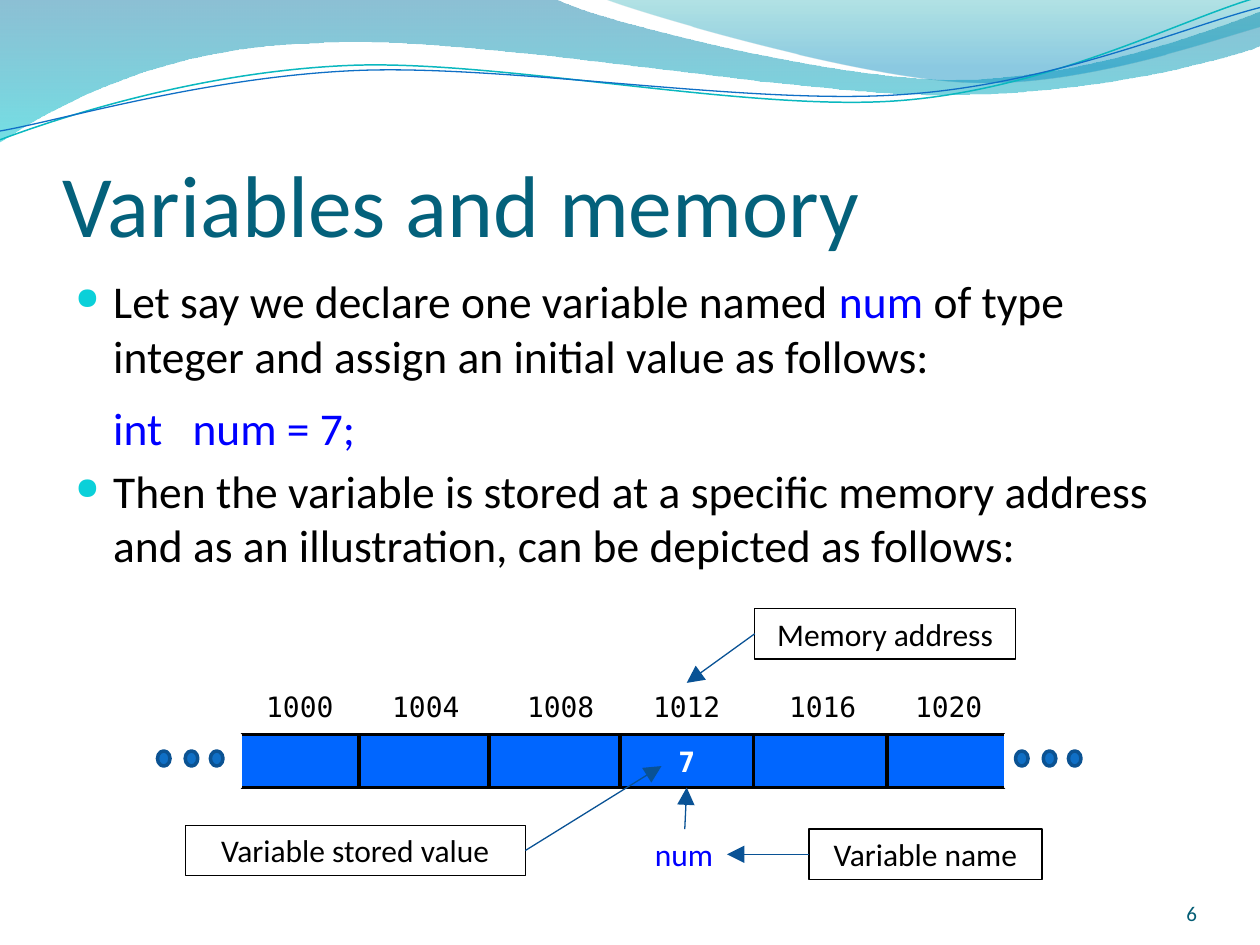
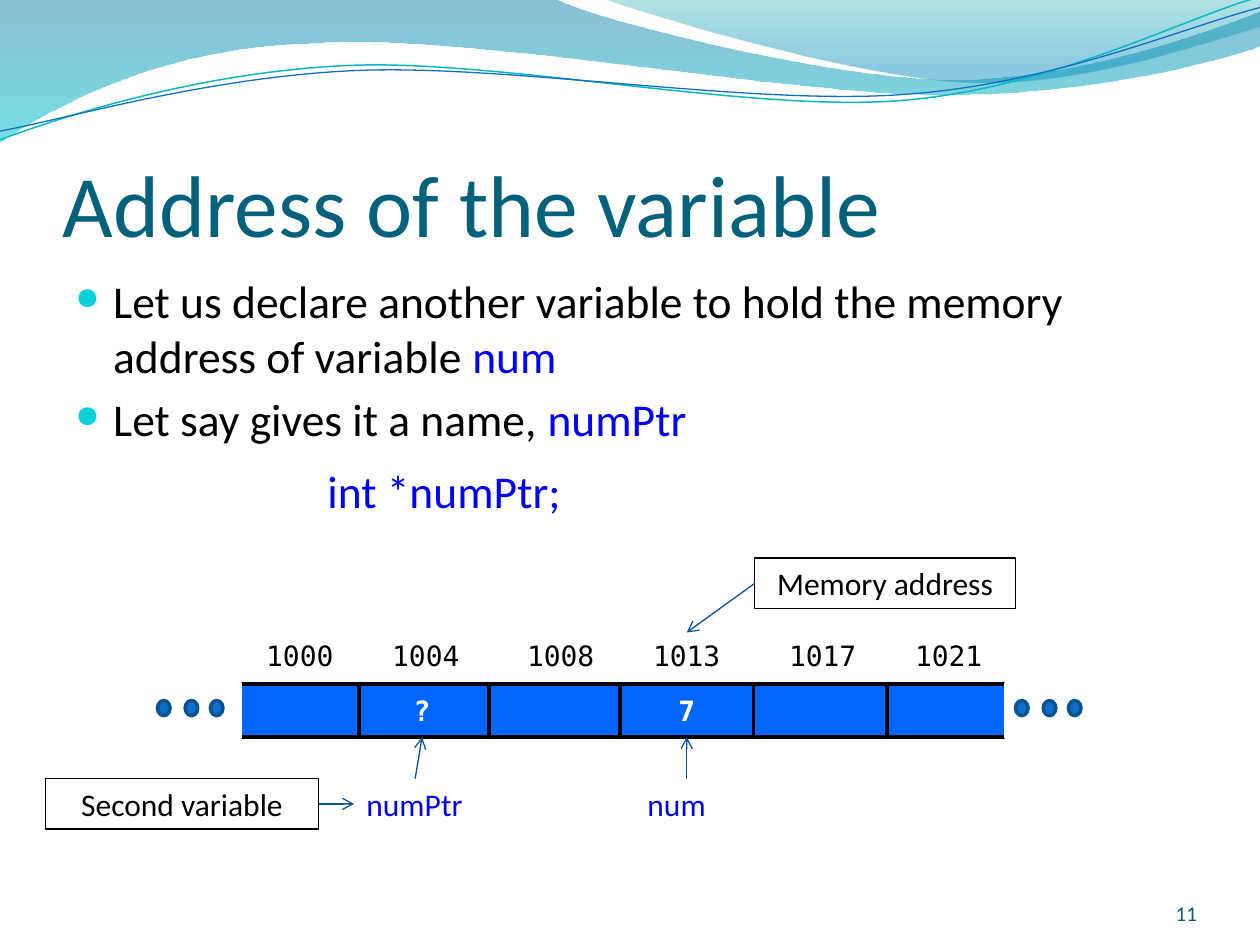
from dataclasses import dataclass

from lxml.etree import SubElement
from pptx import Presentation
from pptx.dml.color import RGBColor
from pptx.enum.shapes import MSO_CONNECTOR, MSO_SHAPE
from pptx.enum.text import MSO_ANCHOR, PP_ALIGN
from pptx.oxml.ns import qn
from pptx.util import Inches, Pt


@dataclass(frozen=True)
class Theme:
    font: str = "Calibri"
    mono: str = "DejaVu Sans Mono"
    title: str = "04617B"
    number: str = "045D75"
    text: str = "000000"
    code: str = "0000FF"
    bullet: str = "0BD0D9"
    cell: str = "0066FF"
    white: str = "FFFFFF"
    dot: str = "0F6FC6"
    dot_line: str = "0B5292"
    arrow: str = "095295"
    title_size: float = 50
    body_size: float = 26
    label_size: float = 18
    mono_size: float = 16
    number_size: float = 12
    bullet_gap: float = 5
    code_gap: float = 9.8


THEME = Theme()
TOP, LEFT, BOTTOM, RIGHT = range(4)
CELL_LEFTS = (1.79, 2.82, 3.86, 4.92, 5.98, 7.04)
ADDRESS_LEFTS = (1.93, 2.93, 4, 5, 6.08, 7.08)
DOT_LEFTS = (1.25, 1.47, 1.67, 8.06, 8.28, 8.48)

WAVES = (
    ((0, 0), [
        (4.4, -0.01),
        (4.76, 0.17, 6.64, 0.63, 7.58, 0.63),
        (8.53, 0.63, 9.58, 0.26, 10, 0.09),
        (10.01, 0.36),
        (9.83, 0.44, 8.7, 0.76, 7.46, 0.75),
        (6.22, 0.75, 3.82, 0.28, 2.57, 0.34),
        (1.29, 0.36, 0.46, 0.83, -0.01, 1.13),
    ], ((0, "0074A1", 45), (1, "00C6CF", 55))),
    ((4.79, -0.01), [
        (5.09, 0.11, 6.82, 0.62, 7.69, 0.65),
        (8.56, 0.69, 9.61, 0.32, 10, 0.21),
        (10, 0),
    ], ((0, "00A1A9", 30), (0.8, "008BBF", 45))),
)
CURVES = (
    ((0, 1.11), [
        (0.48, 0.93, 1.58, 0.57, 2.77, 0.52),
        (3.95, 0.47, 5.93, 0.89, 7.13, 0.8),
        (8.33, 0.71, 9.38, 0.15, 9.98, -0.02),
    ], "0AB8BF", 0.85),
    ((0, 1.04), [
        (0.47, 0.96, 1.64, 0.61, 2.83, 0.56),
        (4.03, 0.51, 5.97, 0.84, 7.17, 0.75),
        (8.36, 0.67, 9.41, 0.21, 10, 0.06),
    ], "0F6FC6", 0.75),
)


def color(value):
    return RGBColor.from_string(value)


def bend(outline, segments):
    lines = list(outline._element.iter(qn("a:lnTo")))
    for line, segment in zip(lines, segments):
        if len(segment) == 2:
            continue
        line.tag = qn("a:cubicBezTo")
        line.remove(line[0])
        for x, y in zip(segment[::2], segment[1::2]):
            SubElement(line, qn("a:pt"), x=str(Inches(x) - outline.left),
                       y=str(Inches(y) - outline.top))


def add_outline(page, start, segments, close):
    builder = page.shapes.build_freeform(*map(Inches, start), scale=1.0)
    corners = [tuple(map(Inches, segment[-2:])) for segment in segments]
    builder.add_line_segments(corners, close=close)
    outline = builder.convert_to_shape()
    outline.shadow.inherit = False
    bend(outline, segments)
    return outline


def add_wave(page, start, segments, stops):
    wave = add_outline(page, start, segments, True)
    wave.line.fill.background()
    wave.fill.gradient()
    wave.fill.gradient_angle = 270
    for stop, (position, value, _) in zip(wave.fill.gradient_stops, stops):
        stop.position = position
        stop.color.rgb = color(value)
    for node, (_, _, opacity) in zip(wave._element.iter(qn("a:gs")), stops):
        SubElement(node[0], qn("a:alpha"), val=str(opacity * 1000))


def add_curve(page, start, segments, line, width):
    curve = add_outline(page, start, segments, False)
    curve.fill.background()
    curve.line.color.rgb = color(line)
    curve.line.width = Pt(width)


def write(para, *spans, size, ink=THEME.text, font=THEME.font, bold=False,
          align=PP_ALIGN.LEFT):
    para.alignment = align
    for span in spans:
        words, span_ink = span if isinstance(span, tuple) else (span, ink)
        run = para.add_run()
        run.text = words
        run.font.name = font
        run.font.size = Pt(size)
        run.font.bold = bold
        run.font.color.rgb = color(span_ink)


def add_text(page, place, words=None, anchor=MSO_ANCHOR.TOP, inset=None, **style):
    box = page.shapes.add_textbox(*map(Inches, place))
    frame = box.text_frame
    frame.word_wrap = True
    frame.vertical_anchor = anchor
    if inset:
        (frame.margin_left, frame.margin_top,
         frame.margin_right, frame.margin_bottom) = map(Inches, inset)
    if words:
        write(frame.paragraphs[0], words, **style)
    return box


def add_shape(page, kind, place, fill=None, line=THEME.text, width=2, words=None,
              anchor=MSO_ANCHOR.MIDDLE, **style):
    shape = page.shapes.add_shape(kind, *map(Inches, place))
    shape.shadow.inherit = False
    if fill:
        shape.fill.solid()
        shape.fill.fore_color.rgb = color(fill)
    else:
        shape.fill.background()
    shape.line.color.rgb = color(line)
    shape.line.width = Pt(width)
    if words:
        shape.text_frame.word_wrap = True
        shape.text_frame.vertical_anchor = anchor
        write(shape.text_frame.paragraphs[0], words, align=PP_ALIGN.CENTER, **style)
    return shape


def add_callout(page, left, top, width, words):
    return add_shape(page, MSO_SHAPE.RECTANGLE, (left, top, width, 0.4), width=0.75,
                     words=words, anchor=MSO_ANCHOR.TOP, size=THEME.label_size)


def add_name(page, left, top, width, words):
    return add_text(page, (left, top, width, 0.4), words, inset=(0.1, 0.05, 0, 0.05),
                    size=THEME.label_size, ink=THEME.code)


def add_arrow(page, source, side, head, target=None, target_side=None, point=(0, 0)):
    end = map(Inches, point)
    arrow = page.shapes.add_connector(MSO_CONNECTOR.STRAIGHT, 0, 0, *end)
    arrow.begin_connect(source, side)
    if target:
        arrow.end_connect(target, target_side)
    arrow.line.color.rgb = color(THEME.arrow)
    arrow.line.width = Pt(0.75)
    size = "lg" if head == "triangle" else "med"
    properties = arrow._element.spPr
    SubElement(properties.find(qn("a:ln")), qn("a:tailEnd"), type=head, w=size, len=size)
    SubElement(properties, qn("a:effectLst"))


def set_indent(para, margin, hanging=0, bullet=False):
    properties = para._p.get_or_add_pPr()
    properties.set("marL", str(Inches(margin)))
    properties.set("indent", str(-Inches(hanging)))
    if bullet:
        tint = SubElement(properties, qn("a:buClr"))
        SubElement(tint, qn("a:srgbClr"), val=THEME.bullet)
        SubElement(properties, qn("a:buSzPct"), val="67000")
        SubElement(properties, qn("a:buChar"), char="●")


def add_body(page, items):
    frame = add_text(page, (0.5, 2.12, 9, 4.8)).text_frame
    for index, (spans, indent, gap) in enumerate(items):
        para = frame.add_paragraph() if index else frame.paragraphs[0]
        set_indent(para, **indent)
        if index:
            para.space_before = Pt(gap)
        write(para, *spans, size=THEME.body_size)


def bullet(*spans):
    return spans, dict(margin=0.3, hanging=0.3, bullet=True), THEME.bullet_gap


def code_line(words, margin, hanging=0):
    return [code(words)], dict(margin=margin, hanging=hanging), THEME.code_gap


def code(words):
    return words, THEME.code


def add_memory(page, top, addresses, values):
    cells = {}
    for index, left in reversed(list(enumerate(CELL_LEFTS))):
        cells[index] = add_shape(
            page, MSO_SHAPE.RECTANGLE, (left, top, 1.06, 0.42), THEME.cell,
            words=values.get(index), size=THEME.mono_size, font=THEME.mono,
            ink=THEME.white, bold=True)
    for left in (1.67, 7.98):
        add_shape(page, MSO_SHAPE.RECTANGLE, (left, top, 0.24, 0.42),
                  THEME.white, THEME.white)
    for left in DOT_LEFTS:
        add_shape(page, MSO_SHAPE.OVAL, (left, top + 0.13, 0.1, 0.12),
                  THEME.dot, THEME.dot_line)
    labels = [
        add_text(page, (left, top - 0.41, 0.9, 0.37), str(address),
                 size=THEME.mono_size, font=THEME.mono, align=PP_ALIGN.CENTER)
        for left, address in zip(ADDRESS_LEFTS, addresses)
    ]
    return cells, labels


def add_page(deck, title, number):
    page = deck.slides.add_slide(deck.slide_layouts[6])
    for wave in WAVES:
        add_wave(page, *wave)
    for curve in CURVES:
        add_curve(page, *curve)
    add_text(page, (0.5, 0.77, 9, 1.25), title, MSO_ANCHOR.BOTTOM, (0, 0.05, 0, 0),
             size=THEME.title_size, ink=THEME.title)
    add_text(page, (8.67, 6.95, 0.83, 0.4), str(number), MSO_ANCHOR.BOTTOM, (0, 0, 0, 0),
             size=THEME.number_size, ink=THEME.number, align=PP_ALIGN.RIGHT)
    return page


def add_variables_page(deck):
    page = add_page(deck, "Variables and memory", 6)
    add_body(page, [
        bullet("Let say we declare one variable named ", code("num"),
               " of type integer and assign an initial value as follows:"),
        code_line("int\tnum = 7;", 0.93, 0.63),
        bullet("Then the variable is stored at a specific memory address and as an "
               "illustration, can be depicted as follows:"),
    ])
    cells, labels = add_memory(page, 5.83, (1000, 1004, 1008, 1012, 1016, 1020), {3: "7"})
    address = add_callout(page, 5.99, 4.83, 2.07, "Memory address")
    stored = add_callout(page, 1.47, 6.55, 2.7, "Variable stored value")
    named = add_callout(page, 6.42, 6.58, 1.85, "Variable name")
    num = add_name(page, 5.1, 6.58, 0.67, "num")
    add_arrow(page, address, LEFT, "triangle", labels[3], TOP)
    add_arrow(page, stored, RIGHT, "triangle", point=(5.25, 6.08))
    add_arrow(page, named, LEFT, "triangle", num, RIGHT)
    add_arrow(page, num, TOP, "triangle", cells[3], BOTTOM)


def add_address_page(deck):
    page = add_page(deck, "Address of the variable", 11)
    add_body(page, [
        bullet("Let us declare another variable to hold the memory address of variable ",
               code("num")),
        bullet("Let say gives it a name, ", code("numPtr")),
        code_line("int *numPtr;", 2),
    ])
    cells, labels = add_memory(page, 5.43, (1000, 1004, 1008, 1013, 1017, 1021),
                               {1: "?", 3: "7"})
    address = add_callout(page, 5.99, 4.43, 2.07, "Memory address")
    second = add_callout(page, 0.36, 6.18, 2.17, "Second variable")
    pointer = add_name(page, 2.81, 6.18, 0.97, "numPtr")
    num = add_name(page, 5.04, 6.18, 0.82, "num")
    add_arrow(page, address, LEFT, "arrow", labels[3], TOP)
    add_arrow(page, second, RIGHT, "arrow", pointer, LEFT)
    add_arrow(page, pointer, TOP, "arrow", cells[1], BOTTOM)
    add_arrow(page, num, TOP, "arrow", cells[3], BOTTOM)


def main():
    deck = Presentation()
    deck.slide_width, deck.slide_height = Inches(10), Inches(7.5)
    add_variables_page(deck)
    add_address_page(deck)
    deck.save("out.pptx")


if __name__ == "__main__":
    main()
